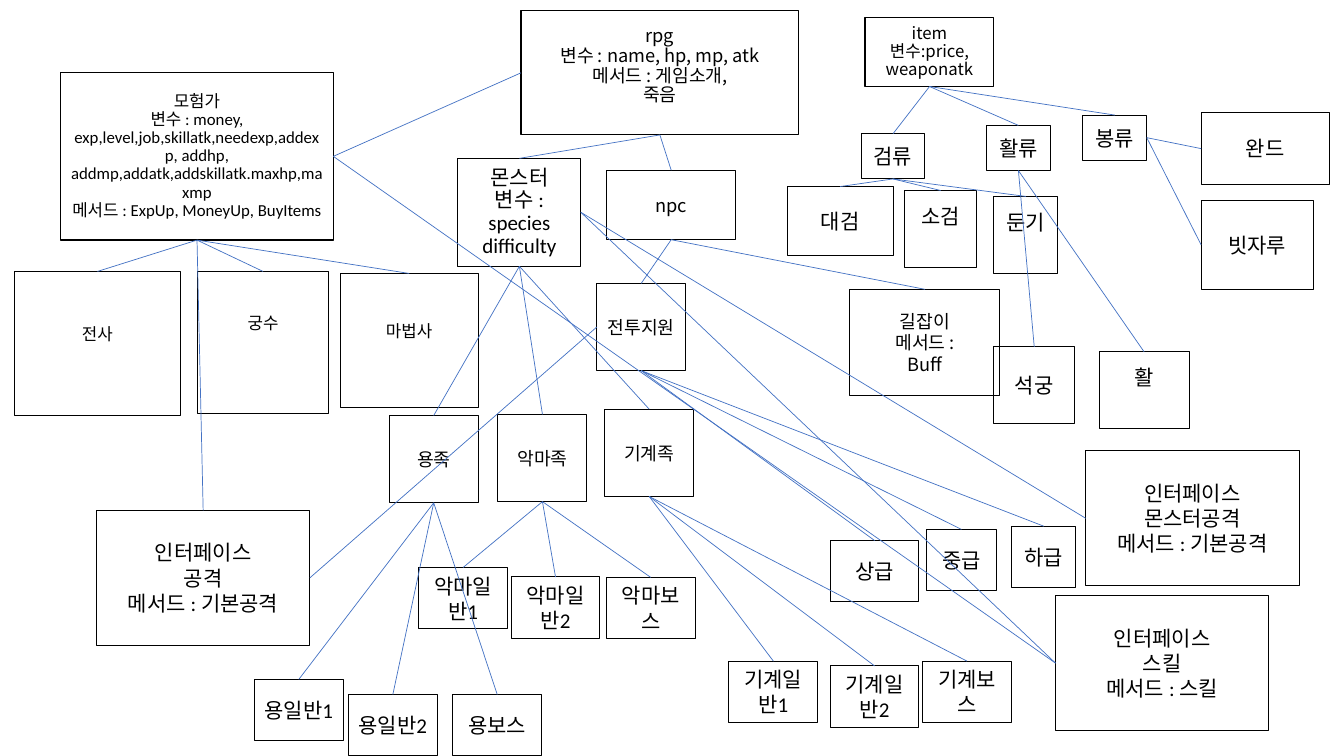
"""Draw the class diagram of a role-playing game on one slide."""
from typing import NamedTuple

from lxml import etree
from pptx import Presentation
from pptx.dml.color import RGBColor
from pptx.enum.shapes import MSO_CONNECTOR, MSO_SHAPE
from pptx.enum.text import MSO_ANCHOR, PP_ALIGN
from pptx.oxml.ns import qn
from pptx.util import Cm, Pt

RECT, STRAIGHT = MSO_SHAPE.RECTANGLE, MSO_CONNECTOR.STRAIGHT
MIDDLE, BOTTOM_ANCHOR, CENTER = MSO_ANCHOR.MIDDLE, MSO_ANCHOR.BOTTOM, PP_ALIGN.CENTER
TOP, LEFT, BOTTOM, RIGHT = range(4)
BLACK = RGBColor(0x00, 0x00, 0x00)
BLUE = RGBColor(0x44, 0x72, 0xC4)
LATIN, KOREAN = "Calibri", "Noto Sans CJK KR"
INSET = 0.13
GROUP, MEMBER, CATEGORY, INTERFACE = (2.24, 2.2), (2.24, 1.55), (1.61, 1.14), (5.38, 3.4)


class Box(NamedTuple):
    """A class box in centimetres; lift raises its text."""
    left: float
    top: float
    size: tuple[float, float]
    text: str
    pt: int = 15
    font: str = LATIN
    lift: float = 0
    spacing: float = 1.0


class Link(NamedTuple):
    """A line from one side of a class to the same side of several others."""
    parent: str
    children: list[str]
    start: int = BOTTOM
    end: int = TOP


ROOT = Box(13.13, 0.27, (7, 3.13),
           "rpg\n변수 : name, hp, mp, atk\n메서드 : 게임소개,\n죽음", 13, KOREAN, 0.6, 0.9)

BOXES = {
    "adventurer": Box(1.53, 1.83, (6.87, 4.22),
                      "모험가\n변수 : money, exp,level,job,skillatk,needexp,addexp, addhp,\n"
                      "addmp,addatk,addskillatk.maxhp,maxmp\n"
                      "메서드 : ExpUp, MoneyUp, BuyItems", 12, spacing=0.9),
    "monster": Box(11.54, 3.99, (3.1, 2.72), "몬스터\n변수 : species\ndifficulty", spacing=0.9),
    "npc": Box(15.29, 4.29, (3.25, 1.75), "npc", 13, KOREAN),
    "item": Box(21.8, 0.43, (3.25, 1.75), "item\n변수:price, weaponatk", 12, KOREAN, spacing=0.9),
    "warrior": Box(0.37, 6.84, (4.17, 3.63), "전사", 12, lift=0.5),
    "archer": Box(4.98, 6.84, (3.3, 3.58), "궁수", 12, lift=1),
    "mage": Box(8.57, 6.89, (3.48, 3.38), "마법사", 12, lift=0.5),
    "support": Box(15.04, 7.14, GROUP, "전투지원", 13, KOREAN),
    "guide": Box(21.42, 7.29, (3.78, 2.69), "길잡이\n메서드 :\nBuff", 13, KOREAN),
    "high": Box(20.92, 13.62, MEMBER, "상급"),
    "middle": Box(23.34, 13.34, (1.78, 1.55), "중급"),
    "low": Box(25.5, 13.26, (1.61, 1.55), "하급"),
    "swords": Box(21.7, 3.37, CATEGORY, "검류"),
    "bows": Box(24.86, 3.16, CATEGORY, "활류"),
    "staffs": Box(27.29, 2.9, CATEGORY, "봉류"),
    "greatsword": Box(19.84, 4.7, (2.67, 1.75), "대검"),
    "shortsword": Box(22.79, 4.8, (1.83, 1.94), "소검", lift=0.65),
    "blunt": Box(25.05, 4.95, (1.61, 1.94), "둔기", lift=0.65),
    "crossbow": Box(25.05, 8.74, (2.03, 1.94), "석궁"),
    "bow": Box(27.7, 8.87, (2.27, 1.94), "활", lift=0.65),
    "broom": Box(30.27, 5.05, (2.83, 2.24), "빗자루"),
    "wand": Box(30.27, 2.83, (3.23, 1.83), "완드"),
    "machine": Box(15.24, 10.31, GROUP, "기계족", 13, KOREAN),
    "demon": Box(12.55, 10.44, GROUP, "악마족", 13, KOREAN),
    "dragon": Box(9.81, 10.47, GROUP, "용족", 13, KOREAN),
    "demon boss": Box(15.28, 14.55, MEMBER, "악마보스"),
    "demon 2": Box(12.88, 14.54, MEMBER, "악마일반2"),
    "demon 1": Box(10.55, 14.3, MEMBER, "악마일반1"),
    "dragon boss": Box(11.41, 17.5, MEMBER, "용보스"),
    "dragon 2": Box(8.78, 17.5, MEMBER, "용일반2"),
    "dragon 1": Box(6.41, 17.12, MEMBER, "용일반1"),
    "machine boss": Box(23.25, 16.66, MEMBER, "기계보스"),
    "machine 2": Box(20.92, 16.78, MEMBER, "기계일반2"),
    "machine 1": Box(18.37, 16.66, MEMBER, "기계일반1"),
    "attack": Box(2.43, 12.86, INTERFACE, "인터페이스\n공격\n메서드 : 기본공격"),
    "skill": Box(26.6, 15.01, INTERFACE, "인터페이스\n스킬\n메서드 : 스킬"),
    "monster attack": Box(27.36, 11.36, INTERFACE, "인터페이스\n몬스터공격\n메서드 : 기본공격"),
}

LINKS = [
    Link("rpg", ["adventurer"], LEFT, RIGHT),
    Link("rpg", ["monster", "npc"]),
    Link("adventurer", ["warrior", "archer", "mage", "attack"]),
    Link("npc", ["support", "guide"]),
    Link("support", ["high", "middle", "low"]),
    Link("support", ["attack"], LEFT, RIGHT),
    Link("item", ["swords", "bows", "staffs"]),
    Link("staffs", ["wand", "broom"], RIGHT, LEFT),
    Link("bows", ["crossbow", "bow"]),
    Link("swords", ["greatsword", "shortsword", "blunt"]),
    Link("monster", ["dragon", "demon", "machine"]),
    *[Link(race, [f"{race} 1", f"{race} 2", f"{race} boss"])
      for race in ("dragon", "demon", "machine")],
    Link("adventurer", ["skill"], RIGHT, LEFT),
    Link("monster", ["skill", "monster attack"], RIGHT, LEFT),
]


def format_box(sp, box: Box, anchor=MIDDLE) -> None:
    """Outline a shape and write the text of its class."""
    sp.fill.background()
    sp.line.color.rgb = BLACK
    sp.line.width = Pt(0.75)
    tf = sp.text_frame
    frame = {"word_wrap": True, "vertical_anchor": anchor, "margin_left": Cm(0.25),
             "margin_right": Cm(0.25), "margin_top": Cm(INSET),
             "margin_bottom": Cm(INSET + box.lift)}
    for key, value in frame.items():
        setattr(tf, key, value)
    for i, line in enumerate(box.text.split("\n")):
        p = tf.paragraphs[0] if i == 0 else tf.add_paragraph()
        layout = {"alignment": CENTER, "space_before": Pt(0), "line_spacing": box.spacing}
        for key, value in layout.items():
            setattr(p, key, value)
        r = p.add_run()
        r.text = line
        for key, value in {"name": box.font, "size": Pt(box.pt), "bold": False}.items():
            setattr(r.font, key, value)
        r.font.color.rgb = BLACK
        etree.SubElement(r.font._element, qn("a:ea"), typeface=box.font)


def add_box(s, box: Box):
    """Add the rectangle of one class."""
    sp = s.shapes.add_shape(RECT, Cm(box.left), Cm(box.top), *map(Cm, box.size))
    sp.shadow.inherit = False
    format_box(sp, box)
    return sp


def add_title(s, box: Box):
    """Place the title as the root class."""
    sp = s.shapes.title
    sp.left, sp.top = Cm(box.left), Cm(box.top)
    sp.width, sp.height = map(Cm, box.size)
    format_box(sp, box, BOTTOM_ANCHOR)
    return sp


def add_link(s, shapes: dict, link: Link) -> None:
    """Join a class to each of its children."""
    for child in link.children:
        line = s.shapes.add_connector(STRAIGHT, 0, 0, 0, 0)
        line.begin_connect(shapes[link.parent], link.start)
        line.end_connect(shapes[child], link.end)
        line.line.color.rgb = BLUE
        line.line.width = Pt(0.5)
        etree.SubElement(line._element.spPr, qn("a:effectLst"))


def main() -> None:
    """Build and save the slide."""
    prs = Presentation()
    prs.slide_width, prs.slide_height = Cm(33.87), Cm(19.05)
    s = prs.slides.add_slide(prs.slide_layouts[5])
    shapes = {"rpg": add_title(s, ROOT)}
    for name, box in BOXES.items():
        shapes[name] = add_box(s, box)
    for link in LINKS:
        add_link(s, shapes, link)
    prs.save("out.pptx")


if __name__ == "__main__":
    main()
